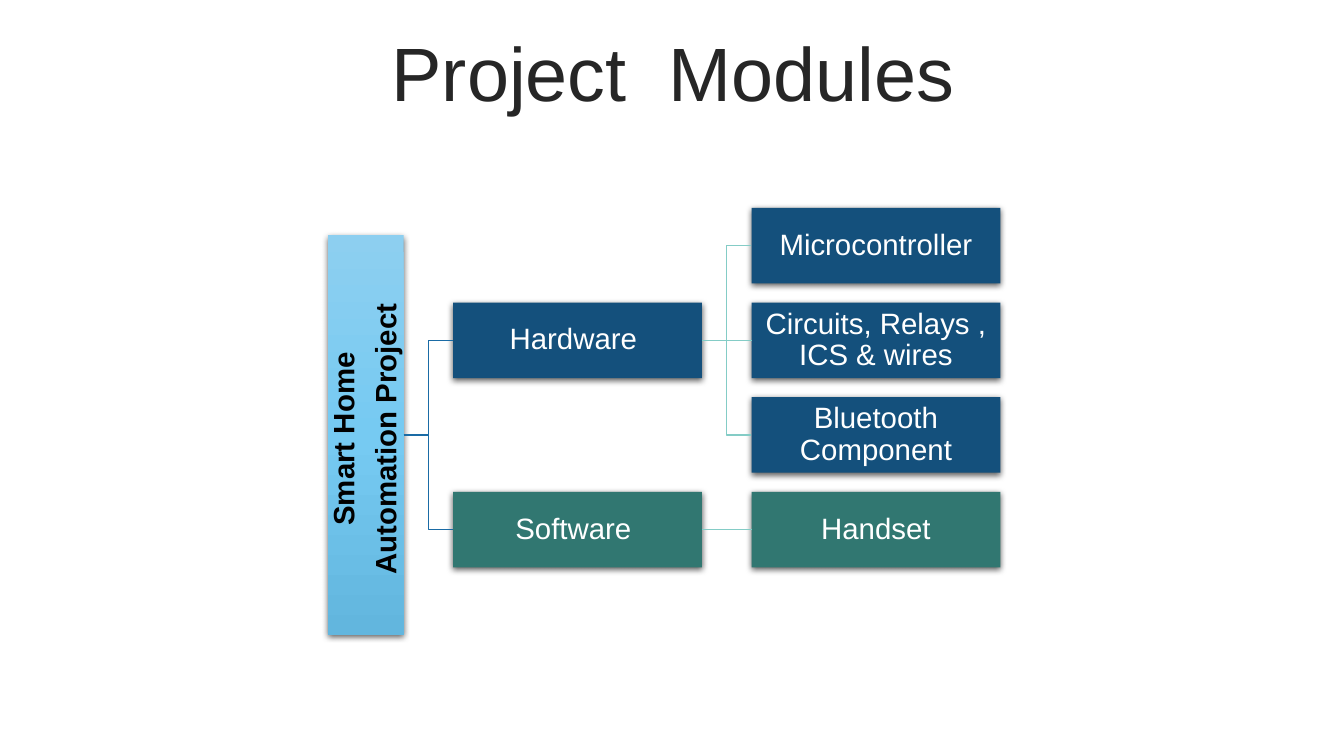
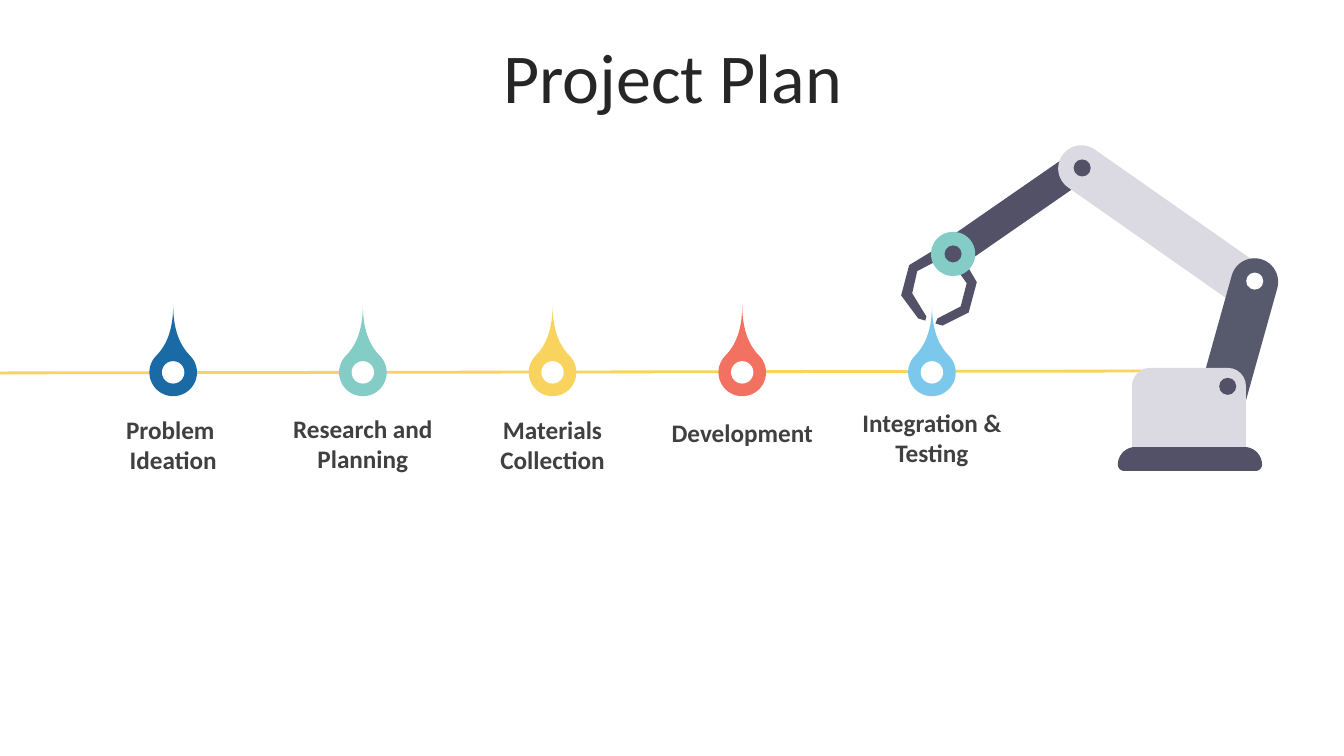
import math
from itertools import product
from lxml import etree
from pptx import Presentation, oxml
from pptx.dml import color
from pptx.enum import shapes, text
from pptx.oxml import ns
from pptx.util import Pt

rgb = color.RGBColor.from_string
KIND = shapes.MSO_SHAPE
LINK = shapes.MSO_CONNECTOR
CENTER = text.PP_ALIGN.CENTER
MIDDLE = text.MSO_ANCHOR.MIDDLE

BLUE, TEAL, YELLOW, CORAL, SKY = "1A6BA5", "84CCC6", "F8D45E", "F27161", "7CC8EC"
NAVY, GREEN = "14507C", "317771"
DARK, SLATE, PALE, WHITE = "525168", "575A6C", "DBDAE3", "FFFFFF"

deck = Presentation()
deck.slide_width, deck.slide_height = Pt(960), Pt(540)


def add_page(title, top, font, size, spacing):
    page = deck.slides.add_slide(deck.slide_layouts[5])
    box = page.shapes.title
    box.left, box.top, box.width, box.height = Pt(25), Pt(top), Pt(911.5), Pt(57)
    frame = box.text_frame
    frame.text = title
    frame.auto_size = text.MSO_AUTO_SIZE.NONE
    frame.vertical_anchor = MIDDLE
    para = frame.paragraphs[0]
    para.alignment = CENTER
    para.line_spacing = spacing
    para.font.name, para.font.size = font, Pt(size)
    para.font.color.rgb = rgb("262626")
    return page


def add_block(page, kind, left, top, width, height, fill, rotation=0, adjust=()):
    block = page.shapes.add_shape(kind, Pt(left), Pt(top), Pt(width), Pt(height))
    block.rotation = rotation
    for index, value in enumerate(adjust):
        block.adjustments[index] = value
    block.fill.solid()
    block.fill.fore_color.rgb = rgb(fill)
    block.line.fill.background()
    block.shadow.inherit = False
    return block


connectors = []

page = add_page("Project  Modules", 26.6, "Arial", 54, 0.9)
box_width, box_height = 177.7, 54
columns = [323.6, 536.8]
first_row, row_step = 148.5, 67.6
modules = [
    ("Hardware ", 0, 1, NAVY),
    ("Software ", 0, 3, GREEN),
    ("Microcontroller", 1, 0, NAVY),
    ("Circuits, Relays , ICS & wires", 1, 1, NAVY),
    ("Bluetooth Component", 1, 2, NAVY),
    ("Handset", 1, 3, GREEN),
]
root_height = 285.2
root_top = first_row + 2 * row_step + (box_height - root_height) / 2
root = add_block(page, KIND.RECTANGLE, 234.3, root_top, box_height, root_height, SKY)
root.text_frame.text = "Smart Home \nAutomation Project "
root.text_frame._txBody.bodyPr.set("vert", "vert270")
gradient = oxml.parse_xml(
    f'<a:gradFill {ns.nsdecls("a")}><a:gsLst>'
    '<a:gs pos="0"><a:srgbClr val="8DCFF0"/></a:gs>'
    '<a:gs pos="50000"><a:srgbClr val="76CAF2"/></a:gs>'
    '<a:gs pos="100000"><a:srgbClr val="62B6DE"/></a:gs>'
    '</a:gsLst><a:lin ang="5400000" scaled="0"/></a:gradFill>'
)
properties = root._element.spPr
properties.replace(properties.find(ns.qn("a:solidFill")), gradient)

boxes = [root]
for label, column, row, fill in modules:
    box = add_block(page, KIND.RECTANGLE, columns[column], first_row + row * row_step,
                    box_width, box_height, fill)
    box.text_frame.text = label
    boxes.append(box)

for box in boxes:
    effects = box._element.spPr.find(ns.qn("a:effectLst"))
    effects.append(oxml.parse_xml(
        f'<a:outerShdw {ns.nsdecls("a")} blurRad="57150" dist="19050" dir="5400000" '
        'algn="ctr" rotWithShape="0"><a:srgbClr val="000000">'
        '<a:alpha val="63000"/></a:srgbClr></a:outerShdw>'
    ))
    frame = box.text_frame
    frame.word_wrap = True
    frame.vertical_anchor = MIDDLE
    frame.margin_left = frame.margin_right = frame.margin_top = frame.margin_bottom = Pt(1)
    for para in frame.paragraphs:
        para.alignment = CENTER
        para.line_spacing = 0.9
        para.space_after = Pt(7.35)
        para.font.name, para.font.size = "Arial", Pt(21)
        para.font.bold = box is root
        para.font.color.rgb = rgb("000000" if box is root else WHITE)

root, hardware, software, controller, circuits, bluetooth, handset = boxes
links = [
    (root, hardware, LINK.ELBOW, BLUE),
    (root, software, LINK.ELBOW, BLUE),
    (hardware, controller, LINK.ELBOW, TEAL),
    (hardware, circuits, LINK.STRAIGHT, TEAL),
    (hardware, bluetooth, LINK.ELBOW, TEAL),
    (software, handset, LINK.STRAIGHT, TEAL),
]
for parent, child, kind, line in links:
    connector = page.shapes.add_connector(kind, 0, 0, 0, 0)
    connector.begin_connect(parent, 3)
    connector.end_connect(child, 1)
    connector.line.color.rgb = rgb(line)
    connector.line.width = Pt(1)
    connectors.append(connector)

page = add_page("Project Plan", 31, "Calibri", 50, 0.8)
timeline = page.shapes.add_connector(LINK.STRAIGHT, 0, Pt(266.4), Pt(838.8), Pt(265))
timeline.line.color.rgb = rgb(YELLOW)
timeline.line.width = Pt(2)
connectors.append(timeline)

stages = [
    ("Problem \nIdeation", 292.3, BLUE),
    ("Research and\nPlanning", 291.6, TEAL),
    ("Materials Collection", 292.3, YELLOW),
    ("Development", 294.5, CORAL),
    ("Integration & Testing", 287.3, SKY),
]
first_stage, stage_step, stage_middle = 123.7, 135.5, 266
drop_size, hole_size, label_width = 34, 16, 163.4
for index, (label, top, fill) in enumerate(stages):
    middle = first_stage + index * stage_step
    add_block(page, KIND.TEAR, middle - drop_size / 2, stage_middle - drop_size / 2,
              drop_size, drop_size, fill, 315, [2])
    add_block(page, KIND.OVAL, middle - hole_size / 2, stage_middle - hole_size / 2,
              hole_size, hole_size, WHITE)
    box = page.shapes.add_textbox(Pt(middle - label_width / 2), Pt(top),
                                  Pt(label_width), Pt(51))
    box.text_frame.word_wrap = True
    box.text_frame.text = label
    for para in box.text_frame.paragraphs:
        para.alignment = CENTER
        para.font.name, para.font.size, para.font.bold = "Calibri", Pt(18), True
        para.font.color.rgb = rgb("404040")

right_claw = [(687.6, 184.3), (697.7, 201.6), (691.9, 223.2), (673.2, 232.6), (668.2, 231.1),
              (669.6, 227.5), (686.2, 218.9), (690.5, 202.3), (681.8, 190.1)]
left_claw = [(666, 179.3), (649.4, 189.4), (643.7, 211), (655.9, 227.5), (661, 229),
             (661.7, 226.1), (651.6, 209.5), (655.2, 193.7), (668.9, 186.5)]
foot_corners = [(811.1, 331.9, 12.6, 180), (888.9, 331.9, 12.6, 270),
                (897, 331.9, 4.5, 0), (803, 331.9, 4.5, 90)]
foot = []
for (x, y, radius, start), turn in product(foot_corners, range(0, 91, 10)):
    angle = math.radians(start + turn)
    foot.append((x + radius * math.cos(angle), y + radius * math.sin(angle)))

add_block(page, KIND.ROUNDED_RECTANGLE, 661, 138.2, 131.8, 21.6, DARK, 325.3, [0.5])
arm_parts = [
    (805.7, 77.8, 33.1, 154.8, PALE, 305, [0.5, 0]),
    (870.1, 183.2, 33.8, 101.5, SLATE, 15.6, [0.5, 0]),
    (808.6, 262.8, 81.4, 64.8, PALE, 0, [0.2, 0]),
]
for part in arm_parts:
    add_block(page, KIND.ROUND_2_SAME_RECTANGLE, *part)

for outline in (right_claw, left_claw, foot):
    points = [(Pt(x), Pt(y)) for x, y in outline]
    builder = page.shapes.build_freeform(*points[0])
    builder.add_line_segments(points[1:], close=True)
    piece = builder.convert_to_shape()
    piece.fill.solid()
    piece.fill.fore_color.rgb = rgb(DARK)
    piece.line.fill.background()
    piece.shadow.inherit = False

joints = [
    (680.8, 181.4, 15.8, TEAL),
    (680.8, 181.4, 6.1, DARK),
    (773, 120, 6.1, DARK),
    (896.3, 200.8, 6.1, WHITE),
    (877, 276, 6.1, DARK),
]
for x, y, radius, fill in joints:
    add_block(page, KIND.OVAL, x - radius, y - radius, 2 * radius, 2 * radius, fill)

for connector in connectors:
    etree.SubElement(connector._element.spPr, ns.qn("a:effectLst"))

deck.save("out.pptx")
